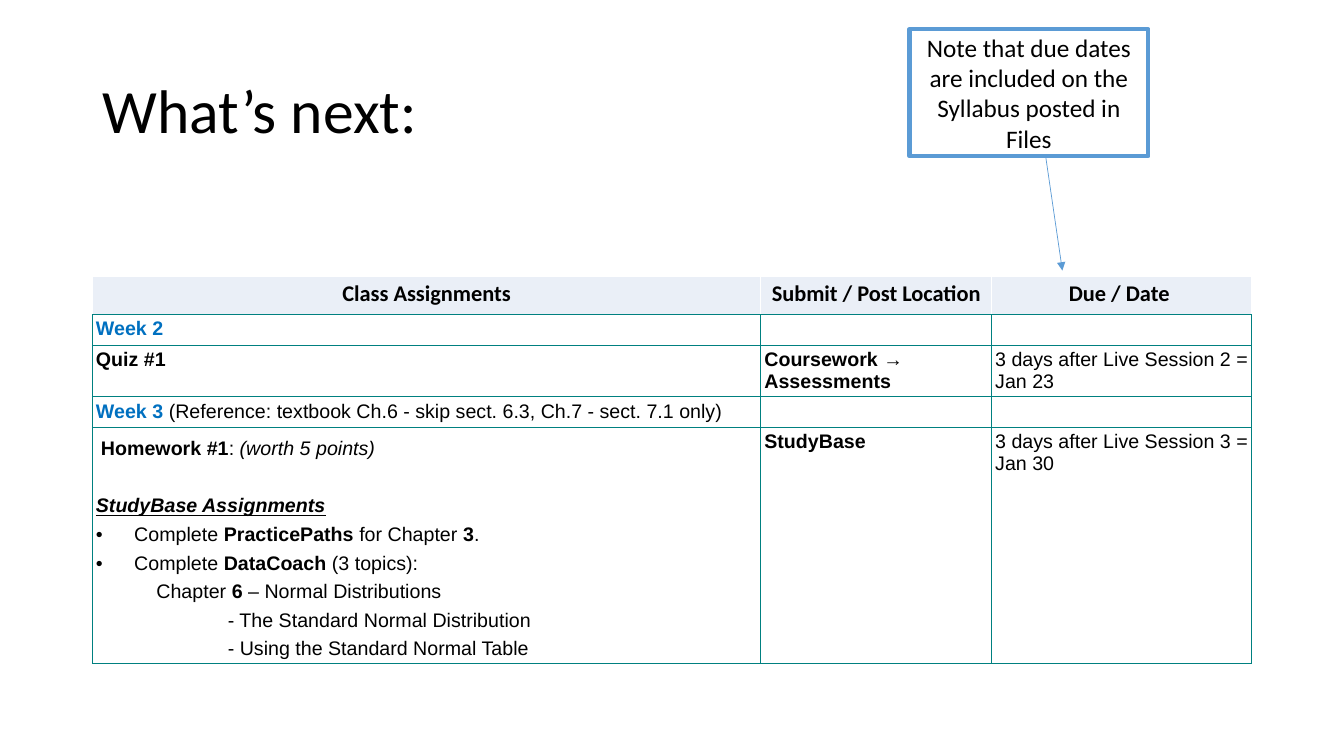
import dataclasses

import lxml.etree
import pptx
import pptx.dml.color
import pptx.enum.shapes
import pptx.enum.text
import pptx.oxml.ns
import pptx.util

ALIGN = pptx.enum.text.PP_ALIGN
MIDDLE = pptx.enum.text.MSO_ANCHOR.MIDDLE


@dataclasses.dataclass(frozen=True)
class Theme:
    heading_font: str = "Calibri"
    body_font: str = "Arial"
    title_size: int = 44
    note_size: int = 18
    header_size: int = 16
    body_size: int = 14
    ink: str = "000000"
    paper: str = "FFFFFF"
    accent: str = "5B9BD5"
    week: str = "0070C0"
    header_fill: str = "EAEFF7"
    grid: str = "008080"


@dataclasses.dataclass(frozen=True)
class Box:
    """Left, top, width and height in grid units."""
    left: float
    top: float
    width: float
    height: float

    def lengths(self):
        return [unit(value) for value in dataclasses.astuple(self)]


THEME = Theme()
COLUMNS, ROWS = 160, 90  # grid of the slide, square units
SLIDE_WIDTH, SLIDE_HEIGHT = pptx.util.Inches(13.33), pptx.util.Inches(7.5)
INSET = 0.42
COLUMN_SHARES = (79.56, 27.48, 30.96)


def unit(count):
    return round(SLIDE_HEIGHT / ROWS * count)


def color(value):
    return pptx.dml.color.RGBColor.from_string(value)


def add_element(parent, tag, **attributes):
    element = lxml.etree.SubElement(parent, pptx.oxml.ns.qn(tag))
    for name, value in attributes.items():
        element.set(name, str(value))
    return element


def add_run(paragraph, text, size, font, style="", ink=THEME.ink):
    """Style letters: b bold, i italic, u underlined."""
    run = paragraph.add_run()
    run.text = text
    run.font.size = pptx.util.Pt(size)
    run.font.name = font
    run.font.color.rgb = color(ink)
    run.font.bold = "b" in style
    run.font.italic = "i" in style
    run.font.underline = "u" in style


# Title
def place_title(slide, box):
    title = slide.shapes.title
    title.left, title.top, title.width, title.height = box.lengths()
    frame = title.text_frame
    frame.auto_size = pptx.enum.text.MSO_AUTO_SIZE.NONE
    frame.vertical_anchor = MIDDLE
    paragraph = frame.paragraphs[0]
    paragraph.alignment = ALIGN.LEFT
    paragraph.line_spacing = 0.9
    add_run(paragraph, "What’s next:", THEME.title_size, THEME.heading_font)


# Note with an arrow down to the due dates
def place_note(slide, box):
    bottom = box.top + box.height
    start = (box.left + 0.57 * box.width, bottom)
    end = (box.left + 0.64 * box.width, bottom + 0.9 * box.height)
    arrow = slide.shapes.add_connector(
        pptx.enum.shapes.MSO_CONNECTOR.STRAIGHT, *map(unit, start + end))
    arrow.line.color.rgb = color(THEME.accent)
    arrow.line.width = pptx.util.Pt(0.5)
    add_element(arrow.line._get_or_add_ln(), "a:tailEnd", type="triangle")
    add_element(arrow._element.spPr, "a:effectLst")

    note = slide.shapes.add_shape(
        pptx.enum.shapes.MSO_SHAPE.RECTANGLE, *box.lengths())
    note.shadow.inherit = False
    note.fill.solid()
    note.fill.fore_color.rgb = color(THEME.paper)
    note.line.color.rgb = color(THEME.accent)
    note.line.width = pptx.util.Pt(3)
    note.text_frame.word_wrap = True
    note.text_frame.vertical_anchor = MIDDLE
    paragraph = note.text_frame.paragraphs[0]
    paragraph.alignment = ALIGN.CENTER
    add_run(paragraph, "Note that due dates are included on the Syllabus posted in Files",
            THEME.note_size, THEME.heading_font)


# Tables
def format_cell(cell, fill, border):
    cell.margin_left = cell.margin_right = unit(INSET)
    cell.margin_top = cell.margin_bottom = unit(INSET)
    properties = cell._tc.get_or_add_tcPr()
    for side in ("a:lnL", "a:lnR", "a:lnT", "a:lnB"):
        line = add_element(properties, side, w=pptx.util.Pt(1))
        add_element(add_element(line, "a:solidFill"), "a:srgbClr", val=border)
    if fill:
        cell.fill.solid()
        cell.fill.fore_color.rgb = color(fill)
    else:
        cell.fill.background()


def add_grid(slide, box, row_shares, fill, border):
    table = slide.shapes.add_table(
        len(row_shares), len(COLUMN_SHARES), *box.lengths()).table
    table.first_row = table.horz_banding = False
    for column, share in zip(table.columns, COLUMN_SHARES):
        column.width = unit(box.width * share / sum(COLUMN_SHARES))
    for row, share in zip(table.rows, row_shares):
        row.height = unit(box.height * share / sum(row_shares))
    for cell in table.iter_cells():
        format_cell(cell, fill, border)
    return table


def place_header(slide, box):
    table = add_grid(slide, box, [1], THEME.header_fill, THEME.paper)
    labels = ("Class Assignments", "Submit / Post Location", "Due / Date ")
    for cell, label in zip(table.iter_cells(), labels):
        paragraph = cell.text_frame.paragraphs[0]
        paragraph.alignment = ALIGN.CENTER
        add_run(paragraph, label, THEME.header_size, THEME.heading_font, "b")


# Each run is (text, style, colour); the last two may be left out
SCHEDULE = (
    ([("Week 2", "b", THEME.week)], [], []),
    ([("Quiz #1", "b")], [("Coursework → Assessments", "b")],
     [("3 days after Live Session 2 = Jan 23",)]),
    ([("Week 3 ", "b", THEME.week),
      ("(Reference: textbook Ch.6 - skip sect. 6.3, Ch.7 - sect. 7.1 only)",)], [], []),
    ([], [("StudyBase", "b")], [("3 days after Live Session 3 = Jan 30",)]),
)
# Indent in grid units, bullet, space before in points, runs
HOMEWORK = (
    (0.6, False, 0, [("Homework #1", "b"), (": ",), ("(worth 5 points)", "i")]),
    (0, False, 20.5, [("StudyBase Assignments", "biu")]),
    (4.56, True, 0, [("Complete ",), ("PracticePaths", "b"), (" for Chapter ",),
                     ("3", "b"), (".",)]),
    (4.56, True, 0, [("Complete ",), ("DataCoach ", "b"), ("(3 topics):",)]),
    (7.2, False, 0, [("Chapter ",), ("6", "b"), (" – Normal Distributions",)]),
    (15.7, False, 0, [("- The Standard Normal Distribution",)]),
    (15.7, False, 0, [("- Using the Standard Normal Table",)]),
)


def add_body_runs(paragraph, runs):
    for text, *look in runs:
        add_run(paragraph, text, THEME.body_size, THEME.body_font, *look)
    if not runs:  # keeps an empty cell as low as its row
        paragraph._p.get_or_add_endParaRPr().set("sz", str(THEME.body_size * 100))


def fill_homework(frame):
    for index, (indent, bullet, gap, runs) in enumerate(HOMEWORK):
        paragraph = frame.add_paragraph() if index else frame.paragraphs[0]
        paragraph.line_spacing = 1.3
        paragraph.space_before = pptx.util.Pt(gap)
        properties = paragraph._p.get_or_add_pPr()
        properties.set("marL", str(unit(indent)))
        properties.set("indent", str(-unit(indent) if bullet else 0))
        if bullet:
            add_element(properties, "a:buFont", typeface=THEME.body_font)
            add_element(properties, "a:buChar", char="•")
        add_body_runs(paragraph, runs)


def place_schedule(slide, box):
    table = add_grid(slide, box, (3.5, 6.1, 3.5, 28.1), None, THEME.grid)
    for row, contents in zip(table.rows, SCHEDULE):
        for cell, runs in zip(row.cells, contents):
            add_body_runs(cell.text_frame.paragraphs[0], runs)
    fill_homework(table.cell(len(SCHEDULE) - 1, 0).text_frame)


def build_slide(presentation):
    slide = presentation.slides.add_slide(presentation.slide_layouts[5])
    place_title(slide, Box(11, 4.8, 138, 17.4))
    place_note(slide, Box(108.24, 3.48, 28.44, 15.12))
    place_header(slide, Box(11, 32.9, 138, 4.56))
    place_schedule(slide, Box(11, 37.46, 138, 41.2))


presentation = pptx.Presentation()
presentation.slide_width, presentation.slide_height = SLIDE_WIDTH, SLIDE_HEIGHT
build_slide(presentation)
presentation.save("out.pptx")
